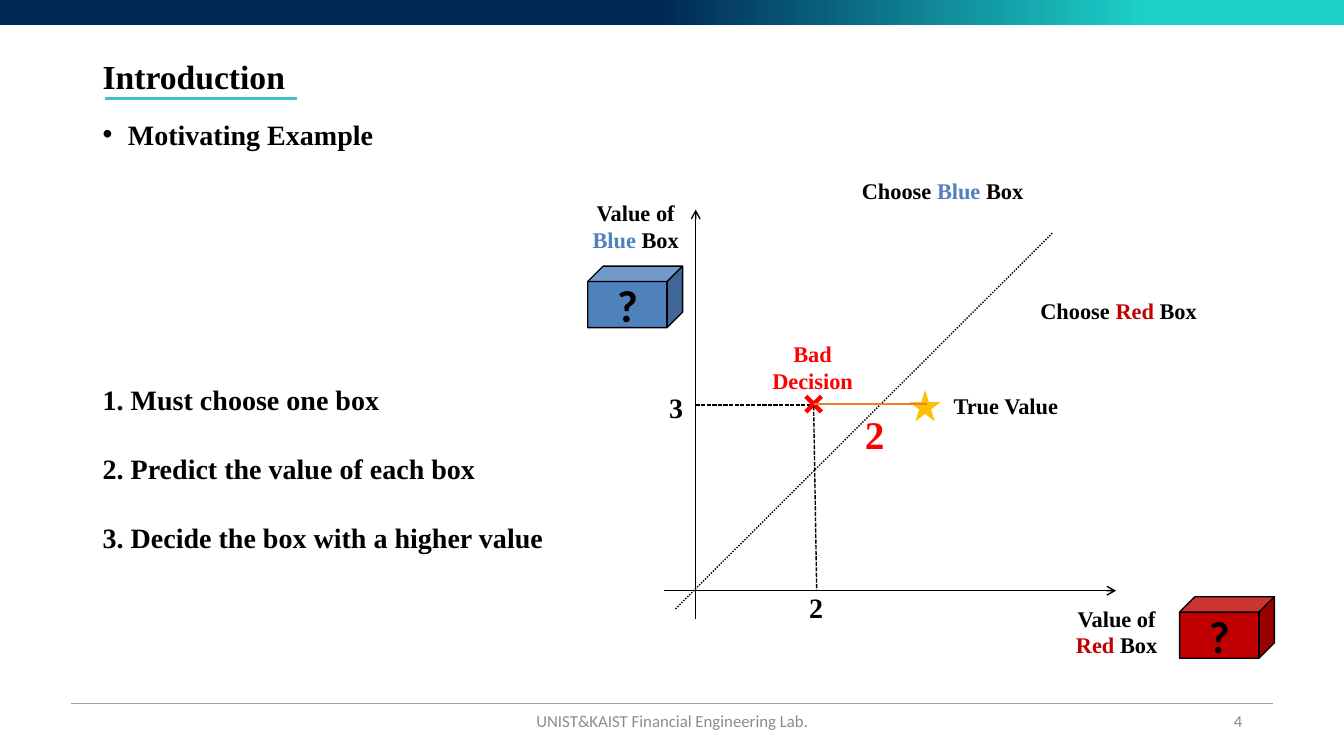
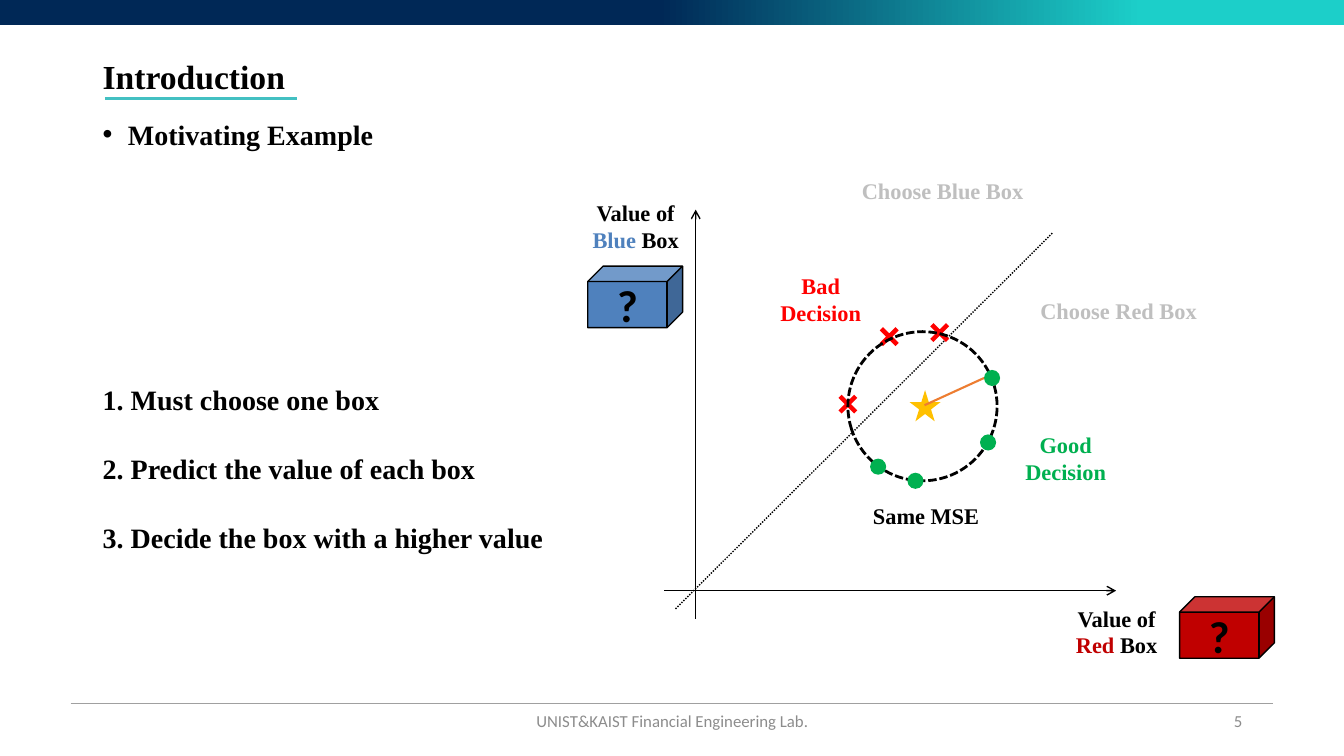
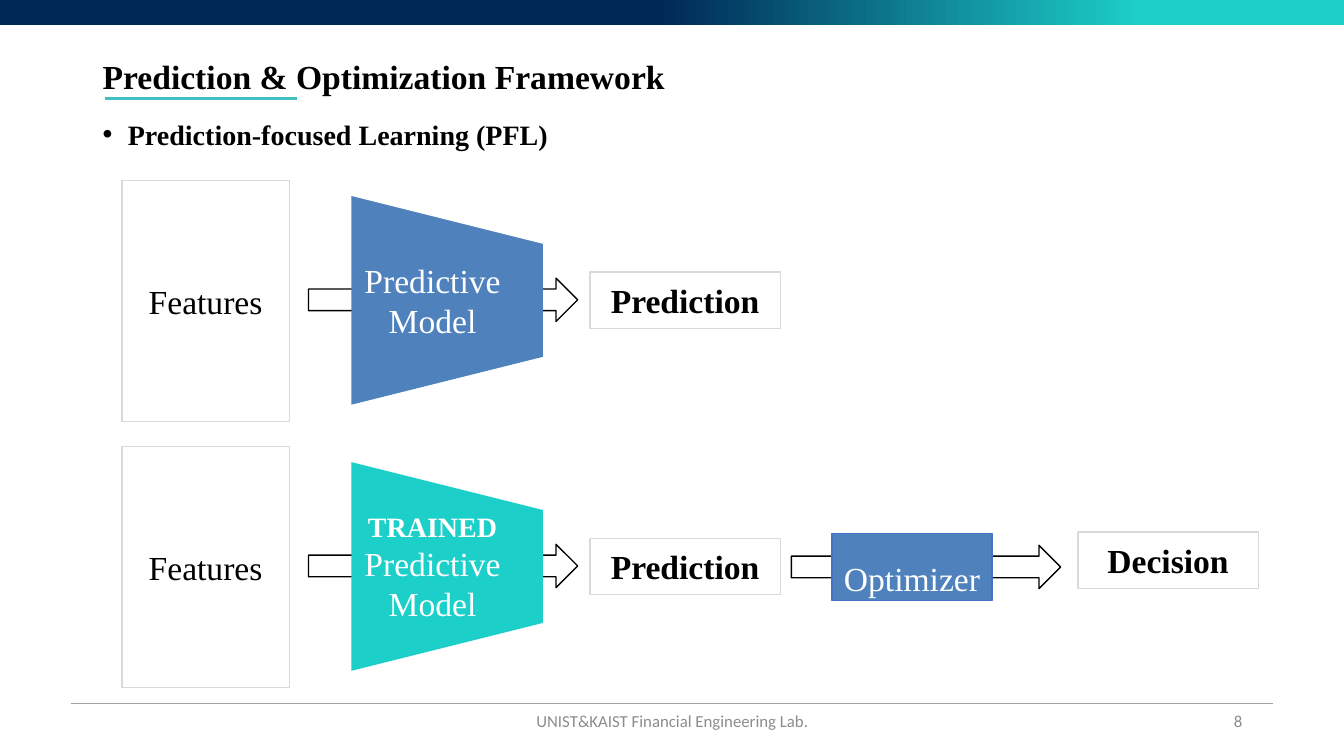
from pptx import Presentation
from pptx import util as u
from pptx.dml.color import RGBColor
from pptx.enum import dml, shapes, text
from pptx.oxml.ns import qn
from lxml import etree

COLORS = {
    "navy": "002856", "teal": "1CCFC9", "accent": "43C0C2", "rule": "A0A0A0",
    "footer": "8C8C8C", "black": "000000", "white": "FFFFFF", "muted": "BFBFBF",
    "blue": "4F81BD", "blue_edge": "4472C4", "dark_red": "C00000", "red": "FF0000",
    "green": "00B050", "gold": "FFC000", "orange": "ED7D31", "frame": "D9D9D9",
}
SERIF, SANS = "Times New Roman", "Calibri"
SHAPE = shapes.MSO_SHAPE
LEFT, CENTER, RIGHT = text.PP_ALIGN.LEFT, text.PP_ALIGN.CENTER, text.PP_ALIGN.RIGHT
TOP, MIDDLE = text.MSO_ANCHOR.TOP, text.MSO_ANCHOR.MIDDLE
DOTS, DASHES = dml.MSO_LINE.ROUND_DOT, dml.MSO_LINE.SQUARE_DOT


def color(name):
    return RGBColor.from_string(COLORS[name])


def write(frame, lines, size=16, font=SERIF, ink="black", bold=True, align=CENTER,
          anchor=TOP, spacing=None, before=0, gap=0, bullet=False):
    """Fill a frame; a line is a string or a list of (text, overrides) spans."""
    frame.word_wrap = True
    frame.vertical_anchor = anchor
    for index, line in enumerate(lines):
        para = frame.add_paragraph() if index else frame.paragraphs[0]
        para.alignment = align
        para.space_before = u.Pt(gap if index else before)
        if spacing:
            para.line_spacing = spacing
        if bullet:
            props = para._p.get_or_add_pPr()
            props.set("marL", str(u.Inches(0.25)))
            props.set("indent", str(-u.Inches(0.25)))
            etree.SubElement(props, qn("a:buFont")).set("typeface", "Arial")
            etree.SubElement(props, qn("a:buChar")).set("char", "•")
        for words, change in [(line, {})] if isinstance(line, str) else line:
            span = para.add_run()
            span.text = words
            span.font.name = font
            span.font.size = u.Pt(change.get("size", size))
            span.font.bold = change.get("bold", bold)
            span.font.color.rgb = color(change.get("ink", ink))


class Deck:
    def __init__(self):
        self.file = Presentation()
        self.file.slide_width, self.file.slide_height = u.Inches(13.33), u.Inches(7.5)
        self.page = None

    def new_page(self, title, topic, number):
        self.page = self.file.slides.add_slide(self.file.slide_layouts[6])
        band = self.shape(SHAPE.RECTANGLE, (0, 0, 13.33, 0.25))
        band.fill.gradient()
        band.fill.gradient_angle = 0
        for stop, place, name in zip(band.fill.gradient_stops, (0.49, 0.85), ("navy", "teal")):
            stop.position = place
            stop.color.rgb = color(name)
        self.line((0.7, 6.98), (12.63, 6.98), "rule", 0.5)
        self.line((1.04, 0.98), (2.95, 0.98), "accent", 2.25)
        self.label((0.92, 0.55, 6.93, 0.46), title, size=24, align=LEFT,
                   anchor=MIDDLE, spacing=0.9)
        self.label((0.92, 1.15, 11.5, 0.5), topic, size=20, align=LEFT,
                   spacing=0.9, before=10, bullet=True)
        footer = dict(size=12, font=SANS, ink="footer", bold=False, anchor=MIDDLE)
        self.label((4.42, 6.95, 4.5, 0.4), "UNIST&KAIST Financial Engineering Lab.", **footer)
        self.label((9.42, 6.95, 3, 0.4), str(number), align=RIGHT, **footer)

    def label(self, at, *lines, align=CENTER, **style):
        box = self.page.shapes.add_textbox(*map(u.Inches, at))
        if align == CENTER:
            box.text_frame.margin_left = box.text_frame.margin_right = 0
        write(box.text_frame, lines, align=align, **style)

    def shape(self, kind, at, fill=None, edge=None, width=1, lines=(), adjust=(), **style):
        box = self.page.shapes.add_shape(kind, *map(u.Inches, at))
        box.shadow.inherit = False
        for index, value in enumerate(adjust):
            box.adjustments[index] = value
        if fill:
            box.fill.solid()
            box.fill.fore_color.rgb = color(fill)
        else:
            box.fill.background()
        if edge:
            box.line.color.rgb = color(edge)
            box.line.width = u.Pt(width)
        else:
            box.line.fill.background()
        if lines:
            write(box.text_frame, lines, **{"anchor": MIDDLE, **style})
        return box

    def line(self, start, end, ink="black", width=1, dash=None, arrow=False):
        line = self.page.shapes.add_connector(
            shapes.MSO_CONNECTOR.STRAIGHT, *map(u.Inches, start + end))
        line.line.color.rgb = color(ink)
        line.line.width = u.Pt(width)
        if dash:
            line.line.dash_style = dash
        if arrow:
            etree.SubElement(line.line._get_or_add_ln(), qn("a:headEnd")).set("type", "arrow")
        etree.SubElement(line._element.spPr, qn("a:effectLst"))

    def cross(self, left, top):
        self.shape(SHAPE.MATH_MULTIPLY, (left, top, 0.3, 0.3), "red", adjust=[0.15])

    def dot(self, left, top):
        self.shape(SHAPE.OVAL, (left, top, 0.16, 0.16), "green")

    def flow_arrow(self, left, top):
        self.shape(SHAPE.RIGHT_ARROW, (left, top, 2.67, 0.43), edge="black")

    def framed(self, at, words, bold=True):
        self.shape(SHAPE.RECTANGLE, at, edge="frame", lines=[words], size=24, bold=bold)


def box_example(deck, number, muted):
    """Question list and value plane shared by the two example pages."""
    deck.new_page("Introduction", "Motivating Example", number)
    deck.label((0.92, 3.75, 4.76, 1.78), "1. Must choose one box",
               "2. Predict the value of each box", "3. Decide the box with a higher value",
               size=20, align=LEFT, gap=25)
    # Axes and decision boundary
    deck.line((6.9, 2.08), (6.9, 6.14), arrow=True)
    deck.line((11.07, 5.86), (6.59, 5.86), arrow=True)
    deck.line((6.7, 6.04), (10.44, 2.31), dash=DOTS)
    deck.shape(SHAPE.STAR_5_POINT, (9.02, 3.87, 0.31, 0.31), "gold")
    # Axis captions, cubes and region names
    for name, ink, axis, cube, region in (
            ("Red", "dark_red", (10.57, 5.95, 1.01, 0.64), (11.7, 5.92), (10.22, 2.9, 1.81, 0.37)),
            ("Blue", "blue", (5.72, 1.93, 1.17, 0.64), (5.83, 2.64), (8.45, 1.71, 1.96, 0.37))):
        named = [(name, {} if muted else {"ink": ink}), (" Box", {})]
        deck.label(axis, "Value of", [(name, {"ink": ink}), (" Box", {})])
        deck.label(region, [("Choose ", {})] + named, align=LEFT,
                   ink="muted" if muted else "black")
        deck.shape(SHAPE.CUBE, cube + (0.94, 0.61), ink, "black",
                   lines=["?"], size=32, font=SANS)


def bad_decision_page(deck):
    box_example(deck, 4, muted=False)
    deck.label((9.36, 3.84, 1.44, 0.37), "True Value", align=LEFT)
    deck.line((6.9, 4.02), (8.1, 4.02), dash=DASHES)
    deck.cross(7.92, 3.86)
    deck.line((8.07, 4.01), (9.19, 4.01), "orange", 1.5)
    deck.line((8.07, 4.03), (8.1, 5.86), dash=DASHES)
    deck.label((8.5, 4.02, 0.35, 0.57), "2", size=28, ink="red")
    deck.label((7.26, 3.33, 1.6, 0.64), "Bad", "Decision", ink="red")
    deck.label((6.53, 3.83, 0.35, 0.44), "3", size=20)
    deck.label((7.92, 5.81, 0.35, 0.44), "2", size=20)


def same_error_page(deck):
    box_example(deck, 5, muted=True)
    for place in ((8.67, 3.19), (8.26, 3.86), (9.17, 3.15)):
        deck.cross(*place)
    circle = deck.shape(SHAPE.ARC, (8.41, 3.29, 1.48, 1.48), edge="black", width=2,
                        adjust=[97.2, 97.19])
    circle.line.dash_style = DASHES
    for place in ((8.63, 4.55), (9, 4.69), (9.72, 4.31), (9.76, 3.67)):
        deck.dot(*place)
    deck.line((9.76, 3.75), (9.17, 4.02), "orange", 1.5)
    deck.label((7.34, 2.65, 1.6, 0.64), "Bad", "Decision", ink="red")
    deck.label((9.97, 4.23, 1.2, 0.64), "Good", "Decision", ink="green")
    deck.label((8.56, 4.93, 1.42, 0.37), "Same MSE", align=LEFT)


def framework_page(deck):
    deck.new_page("Prediction & Optimization Framework", "Prediction-focused Learning (PFL)", 8)
    # Training row, then the row with the trained model
    model = [("Predictive Model", {})]
    trained = [("TRAINED", {"size": 20, "bold": True})]
    for top, fill, lines in ((1.79, "blue", [model]), (4.43, "teal", [trained, model])):
        deck.flow_arrow(3.06, top + 0.97)
        funnel = deck.shape(SHAPE.TRAPEZOID, (3.4, top + 0.24, 2.07, 1.9), fill, lines=lines,
                            adjust=[0.25], size=24, ink="white", bold=False)
        funnel.rotation = 90
        funnel.text_frame._txBody.bodyPr.set("vert", "vert270")
        deck.framed((1.21, top, 1.66, 2.39), "Features", bold=False)
        deck.framed((5.85, top + 0.91, 1.89, 0.56), "Prediction")
    # Decision step
    deck.framed((10.69, 5.28, 1.79, 0.56), "Decision")
    deck.flow_arrow(7.85, 5.41)
    deck.shape(SHAPE.RECTANGLE, (8.25, 5.29, 1.59, 0.67), "blue", "blue_edge",
               lines=["Optimizer"], size=24, ink="white", bold=False, anchor=TOP,
               spacing=1.5, before=5)


def main():
    deck = Deck()
    bad_decision_page(deck)
    same_error_page(deck)
    framework_page(deck)
    deck.file.save("out.pptx")


if __name__ == "__main__":
    main()
